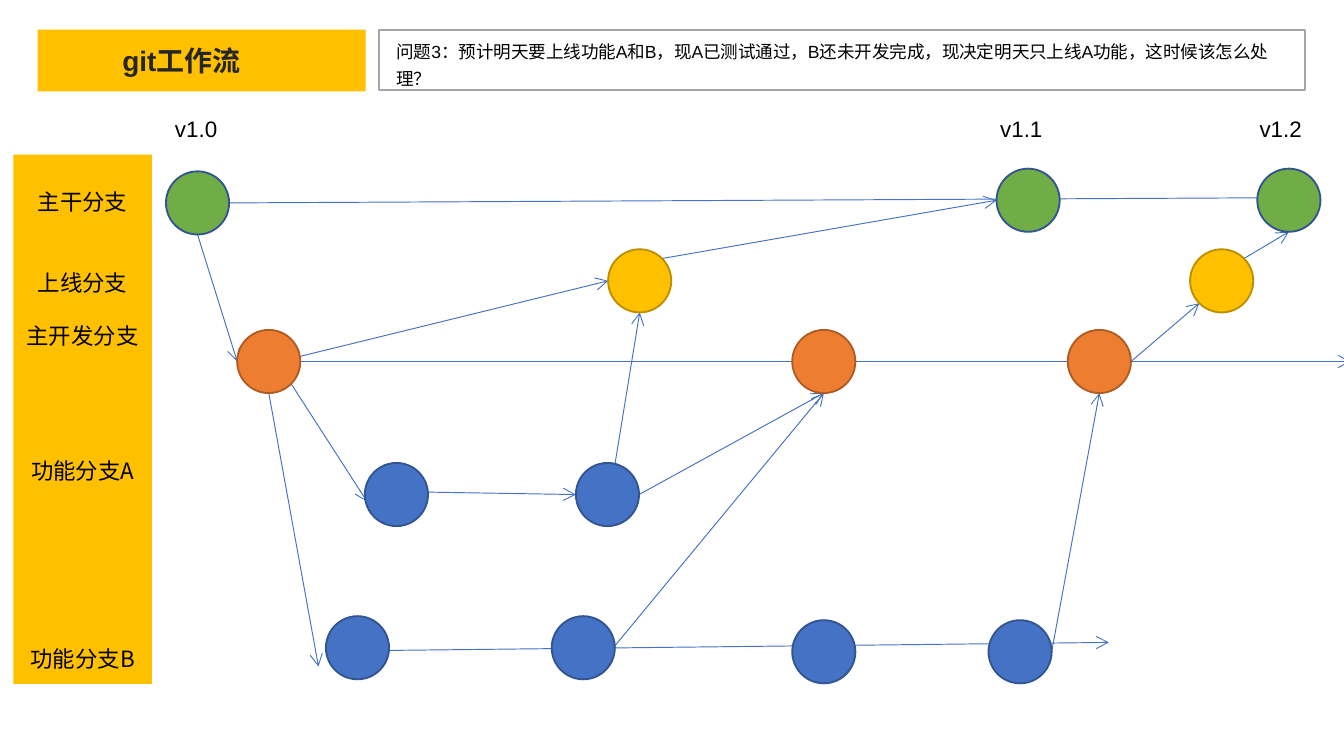
from math import sqrt

from lxml.etree import SubElement
from pptx import Presentation
from pptx.dml.color import RGBColor
from pptx.enum.shapes import MSO_CONNECTOR, MSO_SHAPE
from pptx.enum.text import MSO_ANCHOR, PP_ALIGN
from pptx.oxml.ns import qn
from pptx.util import Inches, Pt

BLACK = RGBColor(0x00, 0x00, 0x00)
CHARCOAL = RGBColor(0x26, 0x26, 0x26)
GRAY = RGBColor(0xA5, 0xA5, 0xA5)
GOLD = RGBColor(0xFF, 0xC0, 0x00)
DARK_GOLD = RGBColor(0xBD, 0x8E, 0x00)
GREEN = RGBColor(0x70, 0xAD, 0x47)
ORANGE = RGBColor(0xED, 0x7D, 0x31)
DARK_ORANGE = RGBColor(0xAF, 0x5C, 0x24)
BLUE = RGBColor(0x44, 0x72, 0xC4)
DARK_BLUE = RGBColor(0x32, 0x54, 0x91)

LATIN, CHINESE = "Arial", "Noto Sans CJK SC"

TITLE = "git工作流"
QUESTION = ("问题3：预计明天要上线功能A和B，现A已测试通过，B还未开发完成，"
            "现决定明天只上线A功能，这时候该怎么处理？")

# Branch name and the row of the sidebar it stands in
BRANCHES = [("主干分支", 0), ("上线分支", 3), ("主开发分支", 5),
            ("功能分支A", 10), ("功能分支B", 17)]
ROW_HEIGHT = 14.4  # points

VERSIONS = [("v1.0", 1.46), ("v1.1", 7.6), ("v1.2", 9.53)]

# Fill, outline and commit centres of each branch
COMMITS = [
    (GREEN, DARK_BLUE, {"main1": (1.47, 1.51), "main2": (7.65, 1.49), "main3": (9.59, 1.49)}),
    (GOLD, DARK_GOLD, {"release1": (4.76, 2.09), "release2": (9.09, 2.09)}),
    (ORANGE, DARK_ORANGE, {"dev1": (2, 2.69), "dev2": (6.13, 2.69), "dev3": (8.18, 2.69)}),
    (BLUE, DARK_BLUE, {"a1": (2.95, 3.68), "a2": (4.52, 3.68)}),
    (BLUE, DARK_BLUE, {"b1": (2.66, 4.82), "b2": (4.34, 4.82),
                       "b3": (6.13, 4.85), "b4": (7.59, 4.85)}),
]
CENTRES = {name: centre for _, _, group in COMMITS for name, centre in group.items()}
DIAMETER = 0.47
RADIUS = DIAMETER / 2

DIAGONAL = 1 / sqrt(2)
SIDES = {"left": (-1, 0), "right": (1, 0), "bottom": (0, 1),
         "top right": (DIAGONAL, -DIAGONAL), "bottom left": (-DIAGONAL, DIAGONAL),
         "bottom right": (DIAGONAL, DIAGONAL)}

# Each end is a side of a commit or a free point
ARROWS = [
    (("main1", "right"), (9.83, 1.47)),
    (("main1", "bottom"), ("dev1", "left")),
    (("dev1", "right"), (10.05, 2.69)),
    (("dev1", "bottom right"), (2.73, 3.73)),
    (("dev1", "bottom"), (2.37, 4.96)),
    ((2.24, 2.65), ("release1", "left")),
    ((3.07, 3.66), ("a2", "left")),
    (("a2", "right"), ("dev2", "bottom")),
    ((4.57, 3.49), ("release1", "bottom")),
    (("release1", "top right"), ("main2", "left")),
    ((2.89, 4.84), (8.25, 4.78)),
    ((4.53, 4.86), ("dev2", "bottom")),
    (("b4", "right"), ("dev3", "bottom")),
    (("dev3", "right"), ("release2", "bottom left")),
    (("release2", "top right"), ("main3", "bottom")),
]


def locate(end):
    """Return the x and y of an arrow end, in inches."""
    if end[0] not in CENTRES:
        return end
    (x, y), (dx, dy) = CENTRES[end[0]], SIDES[end[1]]
    return x + RADIUS * dx, y + RADIUS * dy


def add_arrow(slide, start, finish):
    points = [Inches(value) for value in (*locate(start), *locate(finish))]
    arrow = slide.shapes.add_connector(MSO_CONNECTOR.STRAIGHT, *points)
    arrow.line.color.rgb = BLUE
    arrow.line.width = Pt(0.5)
    SubElement(arrow.line._get_or_add_ln(), qn("a:tailEnd"), type="arrow")
    SubElement(arrow._element.spPr, qn("a:effectLst"))


def add_shape(slide, kind, area, fill=None, outline=None):
    shape = slide.shapes.add_shape(kind, *map(Inches, area))
    shape.shadow.inherit = False
    if fill is None:
        shape.fill.background()
    else:
        shape.fill.solid()
        shape.fill.fore_color.rgb = fill
    if outline is None:
        shape.line.fill.background()
    else:
        shape.line.color.rgb = outline
        shape.line.width = Pt(1)
    return shape


def set_frame(shape, insets, anchor=MSO_ANCHOR.MIDDLE, wrap=True):
    frame = shape.text_frame
    frame.word_wrap = wrap
    frame.vertical_anchor = anchor
    (frame.margin_left, frame.margin_top,
     frame.margin_right, frame.margin_bottom) = map(Inches, insets)
    return frame


def style(para, size, color=BLACK, align=PP_ALIGN.LEFT, face=LATIN, bold=False):
    para.alignment = align
    para.font.size = Pt(size)
    para.font.name = face
    para.font.bold = bold
    para.font.color.rgb = color


def add_header(slide):
    title = slide.shapes.title
    title.left, title.top, title.width, title.height = map(Inches, (0.28, 0.22, 2.44, 0.46))
    title.fill.solid()
    title.fill.fore_color.rgb = GOLD
    frame = set_frame(title, (0.63, 0.04, 0.07, 0.04))
    frame.text = TITLE
    style(frame.paragraphs[0], 15, CHARCOAL, bold=True)

    box = add_shape(slide, MSO_SHAPE.RECTANGLE, (2.82, 0.22, 6.89, 0.45), outline=GRAY)
    frame = set_frame(box, (0.13, 0.03, 0.18, 0))
    frame.text = QUESTION
    style(frame.paragraphs[0], 9.4)
    frame.paragraphs[0].line_spacing = 1.3


def add_sidebar(slide):
    sidebar = add_shape(slide, MSO_SHAPE.RECTANGLE, (0.1, 1.15, 1.03, 3.94), GOLD)
    frame = set_frame(sidebar, (0, 0.25, 0, 0), MSO_ANCHOR.TOP, wrap=False)
    previous_row = -1
    for name, row in BRANCHES:
        para = frame.paragraphs[0] if row == 0 else frame.add_paragraph()
        para.text = name
        style(para, 12, align=PP_ALIGN.CENTER, face=CHINESE)
        para.line_spacing = Pt(ROW_HEIGHT)
        para.space_before = Pt((row - previous_row - 1) * ROW_HEIGHT)
        previous_row = row


def add_versions(slide):
    width, height, middle = 0.6, 0.3, 0.96
    for name, x in VERSIONS:
        area = (x - width / 2, middle - height / 2, width, height)
        frame = set_frame(slide.shapes.add_textbox(*map(Inches, area)), (0, 0, 0, 0))
        frame.text = name
        style(frame.paragraphs[0], 12, align=PP_ALIGN.CENTER)


def add_commits(slide):
    for fill, outline, group in COMMITS:
        for x, y in group.values():
            area = (x - RADIUS, y - RADIUS, DIAMETER, DIAMETER)
            add_shape(slide, MSO_SHAPE.FLOWCHART_CONNECTOR, area, fill, outline)


def main():
    deck = Presentation()
    deck.slide_width = Inches(10)
    deck.slide_height = deck.slide_width * 9 // 16
    slide = deck.slides.add_slide(deck.slide_layouts[5])
    add_header(slide)
    add_sidebar(slide)
    add_versions(slide)
    for start, finish in ARROWS:
        add_arrow(slide, start, finish)
    add_commits(slide)
    deck.save("out.pptx")


if __name__ == "__main__":
    main()
